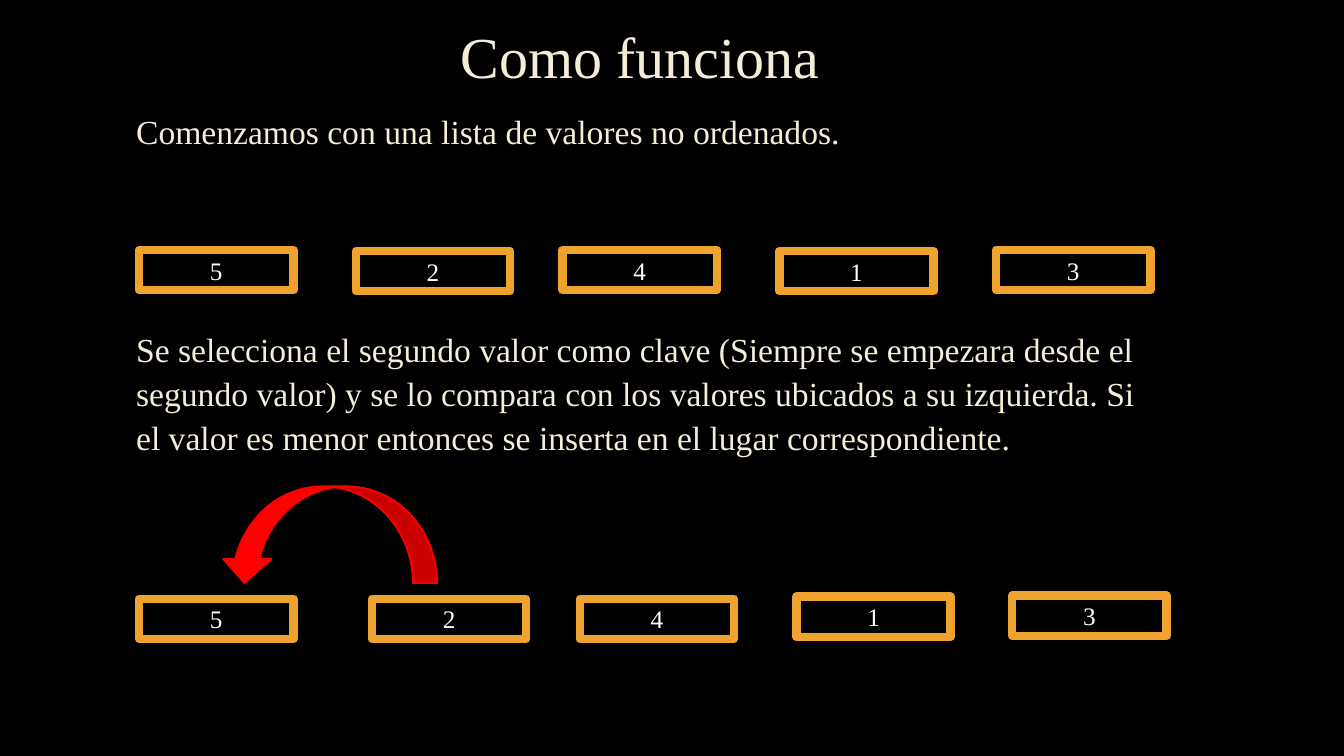
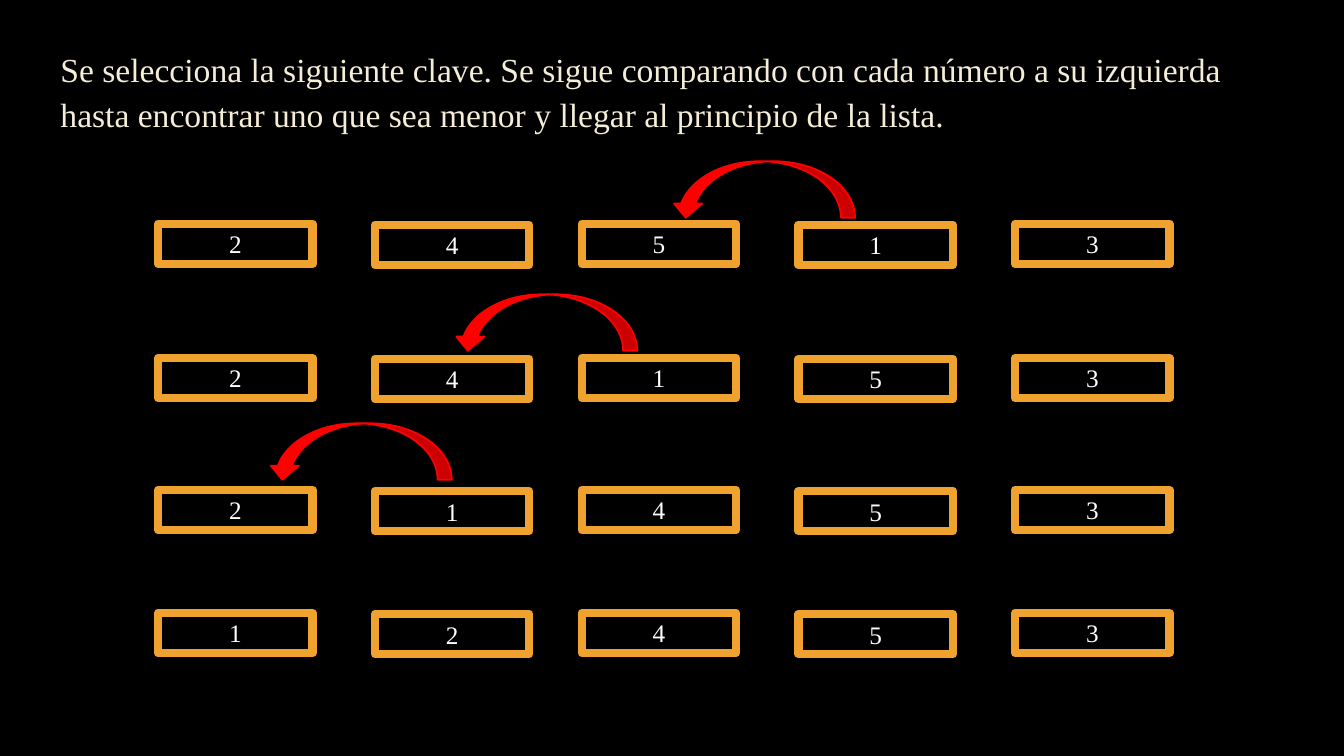
from pptx import Presentation
from pptx.dml.color import RGBColor
from pptx.enum.shapes import MSO_SHAPE
from pptx.enum.text import MSO_ANCHOR, MSO_AUTO_SIZE, PP_ALIGN
from pptx.util import Inches, Pt

TITLE_ONLY, BLANK = 5, 6


def color(hex_code):
    return RGBColor.from_string(hex_code)


class SortingDeck:
    """Shared style and the slide being built."""

    FONT = "Times New Roman"
    BACKGROUND, CREAM, WHITE = "000000", "F4EDD8", "FFFFFF"
    ORANGE, RED = "F0A22E", "FF0000"
    CELL_WIDTH, CELL_HEIGHT = 1.53, 0.4
    COLUMNS = (0, 2.15, 4.2, 6.35, 8.5)
    STAGGER = (0, 0.01, 0, 0.01, 0)

    def __init__(self):
        self.deck = Presentation()
        self.deck.slide_width = Inches(13.33)
        self.deck.slide_height = Inches(7.5)
        self.page = None

    def add_page(self, layout):
        self.page = self.deck.slides.add_slide(self.deck.slide_layouts[layout])
        fill = self.page.background.fill
        fill.solid()
        fill.fore_color.rgb = color(self.BACKGROUND)

    def format_text(self, frame, size, hex_code, align):
        for para in frame.paragraphs:
            para.alignment = align
            for span in para.runs:
                span.font.name = self.FONT
                span.font.size = Pt(size)
                span.font.color.rgb = color(hex_code)

    def title(self, text, left, top, width, height):
        box = self.page.shapes.title
        box.left, box.top = Inches(left), Inches(top)
        box.width, box.height = Inches(width), Inches(height)
        frame = box.text_frame
        frame.text = text
        frame.vertical_anchor = MSO_ANCHOR.MIDDLE
        frame.paragraphs[0].line_spacing = 0.9
        self.format_text(frame, 41.4, self.CREAM, PP_ALIGN.CENTER)

    def body(self, text, left, top, width, height):
        box = self.page.shapes.add_textbox(
            Inches(left), Inches(top), Inches(width), Inches(height))
        frame = box.text_frame
        frame.word_wrap = True
        frame.margin_left = Inches(0.14)
        frame.text = text
        para = frame.paragraphs[0]
        para.line_spacing = 1.1
        para.space_after = Pt(6)
        self.format_text(frame, 24, self.CREAM, PP_ALIGN.LEFT)

    def cell(self, value, left, top):
        box = self.page.shapes.add_shape(
            MSO_SHAPE.RECTANGLE, Inches(left), Inches(top),
            Inches(self.CELL_WIDTH), Inches(self.CELL_HEIGHT))
        box.shadow.inherit = False
        box.fill.background()
        box.line.color.rgb = color(self.ORANGE)
        box.line.width = Pt(6)
        frame = box.text_frame
        frame.text = value
        frame.auto_size = MSO_AUTO_SIZE.SHAPE_TO_FIT_TEXT
        frame.vertical_anchor = MSO_ANCHOR.TOP
        self.format_text(frame, 18, self.WHITE, PP_ALIGN.CENTER)

    def value_row(self, values, left, top, columns=COLUMNS, stagger=STAGGER):
        for value, across, down in zip(values, columns, stagger):
            self.cell(value, left + across, top + down)

    def jump_arrow(self, left, top, width, height):
        # The frame is given before its quarter turn
        arrow = self.page.shapes.add_shape(
            MSO_SHAPE.CURVED_RIGHT_ARROW, Inches(left), Inches(top),
            Inches(width), Inches(height))
        arrow.rotation = 90
        arrow.shadow.inherit = False
        arrow.fill.solid()
        arrow.fill.fore_color.rgb = color(self.RED)
        arrow.line.color.rgb = color(self.RED)
        arrow.line.width = Pt(1.25)


def first_key(deck):
    deck.add_page(TITLE_ONLY)
    deck.title("Como funciona ", 4.17, 0.29, 4.5, 0.61)

    # Unsorted list
    deck.body("Comenzamos con una lista de valores no ordenados.",
              1.21, 1.01, 9.42, 0.69)
    deck.value_row("52413", 1.38, 2.48)

    # First comparison
    deck.body("Se selecciona el segundo valor como clave (Siempre se empezara "
              "desde el segundo valor) y se lo compara con los valores ubicados "
              "a su izquierda. Si el valor es menor entonces se inserta en el "
              "lugar correspondiente.", 1.21, 3.17, 10.41, 1.52)
    deck.value_row("52413", 1.38, 5.94,
                   columns=(0, 2.31, 4.37, 6.52, 8.66),
                   stagger=(0, 0, 0, -0.02, -0.03))
    deck.jump_arrow(2.78, 4.23, 0.96, 2.15)


def next_key(deck):
    deck.add_page(BLANK)
    deck.body("Se selecciona la siguiente clave. Se sigue comparando con cada "
              "número a su izquierda hasta encontrar uno que sea menor y llegar "
              "al principio de la lista.", 0.46, 0.4, 12.1, 1.2)

    # The key moves one place left in each row
    for values, top in (("24513", 2.22), ("24153", 3.55),
                        ("21453", 4.86), ("12453", 6.08)):
        deck.value_row(values, 1.57, top)
    for left, top in ((7.29, 0.97), (5.13, 2.29), (3.29, 3.57)):
        deck.jump_arrow(left, top, 0.56, 1.82)


def main():
    deck = SortingDeck()
    first_key(deck)
    next_key(deck)
    deck.deck.save("out.pptx")


if __name__ == "__main__":
    main()
